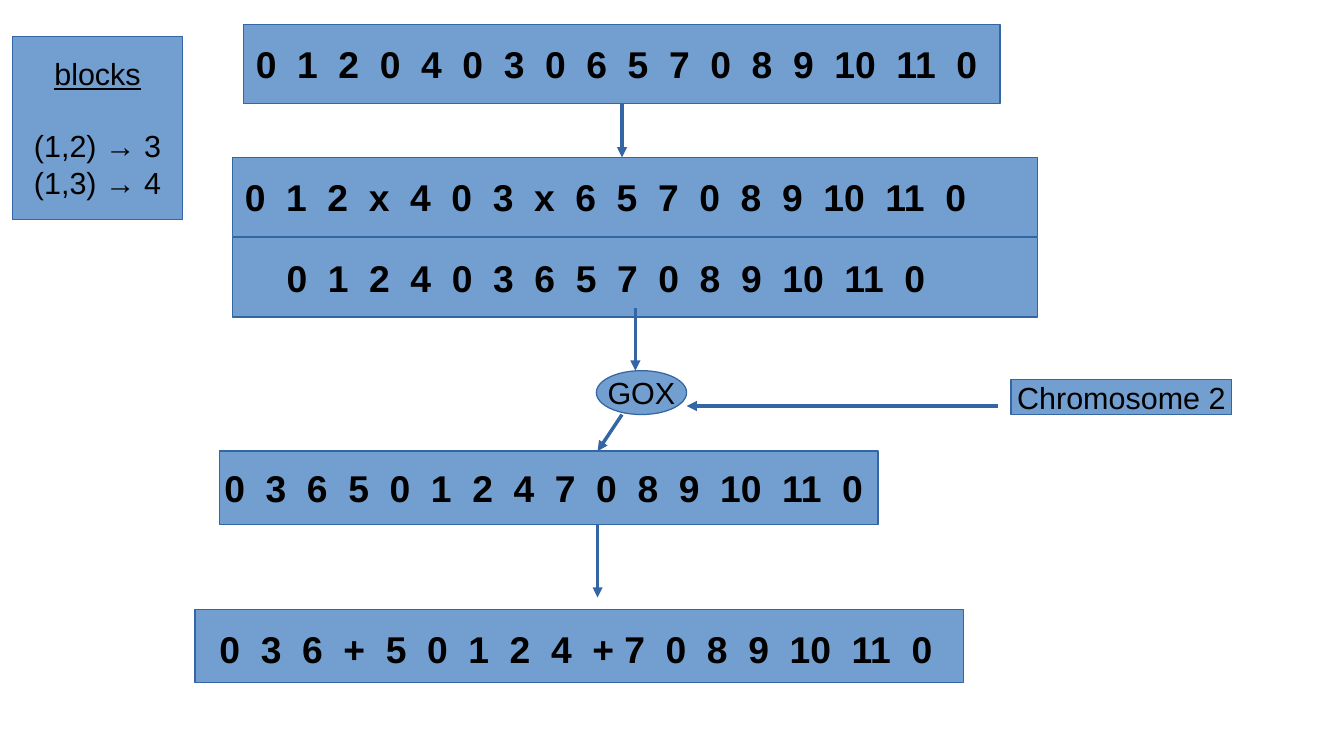
from lxml import etree
from pptx import Presentation
from pptx.dml.color import RGBColor
from pptx.enum.shapes import MSO_CONNECTOR, MSO_SHAPE
from pptx.enum.text import MSO_ANCHOR, PP_ALIGN
from pptx.oxml.ns import qn
from pptx.util import Pt

PX = 9144  # 100 px to the inch
BLUE = RGBColor(0x72, 0x9F, 0xCF)
DARK_BLUE = RGBColor(0x34, 0x65, 0xA4)
BLACK = RGBColor(0, 0, 0)
RECTANGLE, OVAL = MSO_SHAPE.RECTANGLE, MSO_SHAPE.OVAL
STRAIGHT = MSO_CONNECTOR.STRAIGHT
LEFT, CENTER = PP_ALIGN.LEFT, PP_ALIGN.CENTER
MIDDLE = MSO_ANCHOR.MIDDLE
BOTTOM_SIDE = 2

presentation = Presentation()
presentation.slide_width = 1102 * PX
presentation.slide_height = 620 * PX
slide = presentation.slides.add_slide(presentation.slide_layouts[6])


def add_box(kind, bounds, lines, size, bold=False, align=CENTER, inset=10):
    shape = slide.shapes.add_shape(kind, *(length * PX for length in bounds))
    shape.shadow.inherit = False
    shape.fill.solid()
    shape.fill.fore_color.rgb = BLUE
    shape.line.color.rgb = DARK_BLUE
    shape.line.width = 0
    frame = shape.text_frame
    frame.word_wrap = False
    frame.vertical_anchor = MIDDLE
    frame.margin_left = inset * PX
    for index, line in enumerate(lines):
        paragraph = frame.add_paragraph() if index else frame.paragraphs[0]
        paragraph.alignment = align
        run = paragraph.add_run()
        run.text = line
        run.font.name = "Arial"
        run.font.size = Pt(size)
        run.font.bold = bold
        run.font.color.rgb = BLACK
    return shape


# Chromosome rows: bounds, left inset, genes
CHROMOSOMES = [
    ((200, 20, 620, 65), 10, "0  1  2  0  4  0  3  0  6  5  7  0  8  9  10  11  0"),
    ((191, 129, 660, 65), 10, "0  1  2  x  4  0  3  x  6  5  7  0  8  9  10  11  0"),
    ((191, 195, 660, 65), 44, "0  1  2  4  0  3  6  5  7  0  8  9  10  11  0"),
    ((180, 370, 540, 60), 4, "0  3  6  5  0  1  2  4  7  0  8  9  10  11  0"),
    ((160, 500, 630, 60), 20, "0  3  6  +  5  0  1  2  4  + 7  0  8  9  10  11  0"),
]
rows = [
    add_box(RECTANGLE, bounds, [genes], 22, True, LEFT, inset)
    for bounds, inset, genes in CHROMOSOMES
]
rows[-1].text_frame.margin_top = 9 * PX

add_box(RECTANGLE, (829, 311, 181, 29), ["Chromosome 2"], 18)
add_box(OVAL, (489, 304, 74, 36), ["GOX"], 18)

blocks = add_box(
    RECTANGLE, (10, 30, 140, 150), ["blocks", "(1,2) → 3", "(1,3) → 4"], 18
)
heading, first_block = blocks.text_frame.paragraphs[:2]
heading.runs[0].font.underline = True
first_block.space_before = Pt(21)

# Arrows: x and y of start, x and y of end
ARROWS = [
    (510, 85, 510, 129),
    (521, 253, 521, 304),
    (818, 333, 563, 333),
    (510, 340, 490, 370),
    (490, 430, 490, 490),
]
arrows = []
for ends in ARROWS:
    arrow = slide.shapes.add_connector(STRAIGHT, *(length * PX for length in ends))
    arrow.line.color.rgb = DARK_BLUE
    arrow.line.width = 0
    properties = arrow.element.spPr
    etree.SubElement(properties.find(qn("a:ln")), qn("a:tailEnd"), type="triangle")
    etree.SubElement(properties, qn("a:effectLst"))
    arrows.append(arrow)
arrows[0].begin_connect(rows[0], BOTTOM_SIDE)
arrows[0].end_connect(rows[1], 0)
arrows[0].end_x = arrows[0].begin_x

presentation.save("out.pptx")
